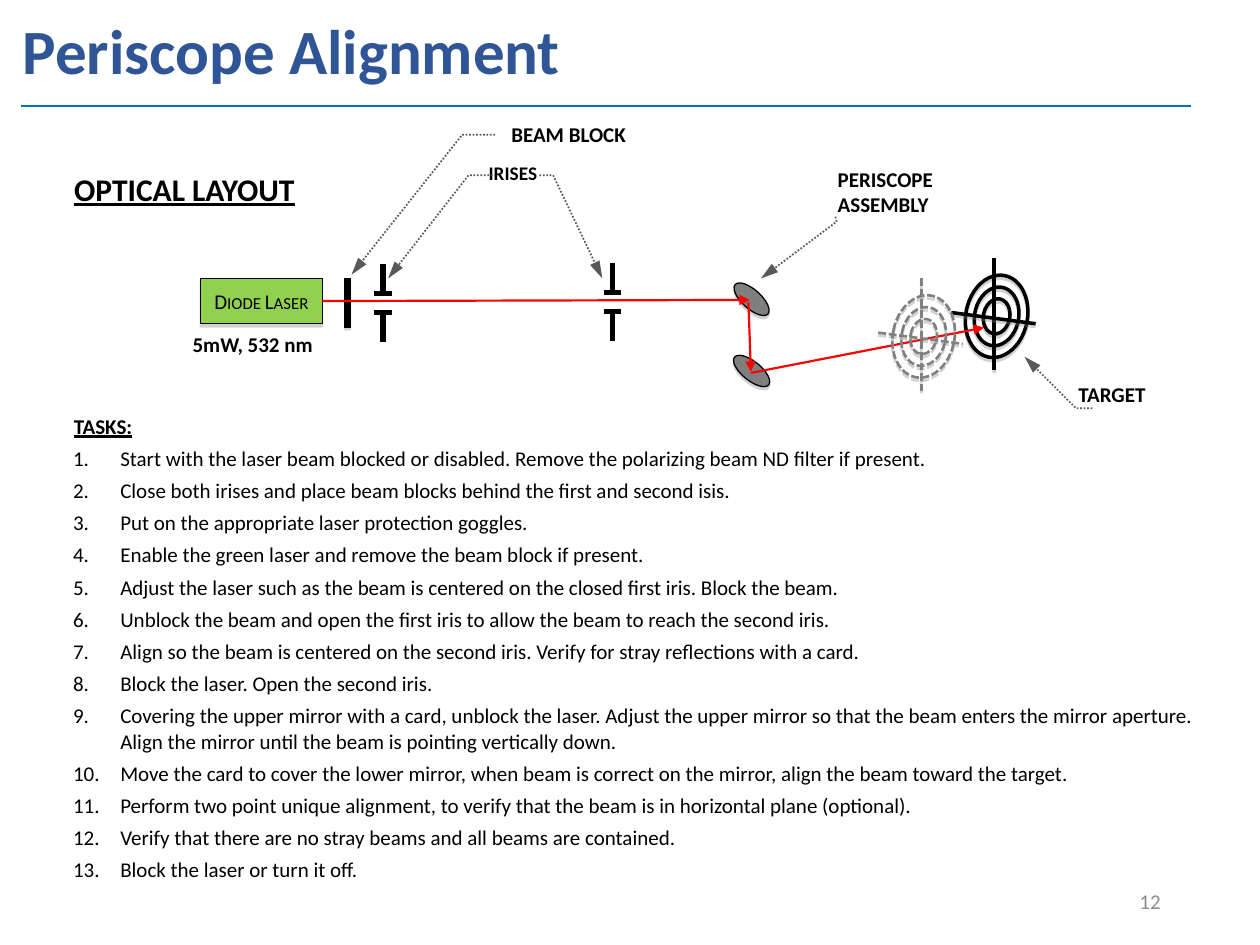
import pptx
import pptx.dml.color
import pptx.enum.dml
import pptx.enum.shapes
import pptx.enum.text
import pptx.oxml.ns
import pptx.util
import lxml.etree

Pt = pptx.util.Pt
hue = pptx.dml.color.RGBColor.from_string
qn = pptx.oxml.ns.qn
add = lxml.etree.SubElement
Kind = pptx.enum.shapes.MSO_SHAPE
Dash = pptx.enum.dml.MSO_LINE
Align = pptx.enum.text.PP_ALIGN
Anchor = pptx.enum.text.MSO_ANCHOR
STRAIGHT = pptx.enum.shapes.MSO_CONNECTOR.STRAIGHT


def style(item, color, width, dash=None, drop=0, head=None):
    item.line.color.rgb = hue(color)
    item.line.width = Pt(width)
    if dash:
        item.line.dash_style = dash
    props = item.element.spPr
    if head:
        add(props.find(qn("a:ln")), qn("a:tailEnd"), type="triangle", w="med", len=head)
    effect = add(props, qn("a:effectLst"))
    if drop:
        cast = add(effect, qn("a:outerShdw"), blurRad="0", dist=str(Pt(drop)),
                   dir="5400000", rotWithShape="0")
        tone = add(cast, qn("a:srgbClr"), val="808080")
        add(tone, qn("a:alpha"), val="35000")


def write(para, text, size, color="000000", bold=False, under=False):
    run = para.add_run()
    run.text = text
    font = run.font
    font.name = "Calibri"
    font.size = Pt(size)
    font.color.rgb = hue(color)
    font.bold = bold
    font.underline = under
    return run


deck = pptx.Presentation()
deck.slide_width = Pt(720)
deck.slide_height = Pt(540)
slide = deck.slides.add_slide(deck.slide_layouts[6])
shapes = slide.shapes

labels = [
    ("Periscope Alignment", 5.8, 1.4, 695.5, 59, 36, "2F5597", True, False, Align.LEFT, Anchor.MIDDLE),
    ("12", 508.3, 500.4, 162, 28.8, 12, "8C8C8C", False, False, Align.RIGHT, Anchor.MIDDLE),
    ("BEAM BLOCK", 285.1, 66.2, 98.6, 21.6, 12, "000000", True, False, Align.LEFT, Anchor.TOP),
    ("IRISES", 265, 88.6, 56.2, 20.9, 11, "000000", True, False, Align.CENTER, Anchor.TOP),
    ("5mW, 532 nm", 103, 185.8, 97.9, 21.6, 12, "000000", True, False, Align.LEFT, Anchor.TOP),
    ("PERISCOPE ASSEMBLY", 471.6, 91.4, 98.6, 36, 12, "000000", True, False, Align.LEFT, Anchor.TOP),
    ("TARGET", 609.1, 214.6, 61.2, 19.4, 12, "000000", True, False, Align.LEFT, Anchor.TOP),
    ("OPTICAL LAYOUT", 35.3, 93.6, 141.8, 28.8, 18, "000000", True, True, Align.LEFT, Anchor.TOP),
]
for text, x, y, wide, high, size, color, bold, under, align, anchor in labels:
    frame = shapes.add_textbox(Pt(x), Pt(y), Pt(wide), Pt(high)).text_frame
    frame.word_wrap = text != "OPTICAL LAYOUT"
    frame.vertical_anchor = anchor
    para = frame.paragraphs[0]
    para.alignment = align
    if size == 36:
        para.line_spacing = 0.9
    write(para, text, size, color, bold, under)

tasks = [
    "Start with the laser beam blocked or disabled. Remove the polarizing beam ND filter if present.",
    "Close both irises and place beam blocks behind the first and second isis.",
    "Put on the appropriate laser protection goggles.",
    "Enable the green laser and remove the beam block if present.",
    "Adjust the laser such as the beam is centered on the closed first iris. Block the beam.",
    "Unblock the beam and open the first iris to allow the beam to reach the second iris.",
    "Align so the beam is centered on the second iris. Verify for stray reflections with a card.",
    "Block the laser. Open the second iris.",
    "Covering the upper mirror with a card, unblock the laser. Adjust the upper mirror so that the beam "
    "enters the mirror aperture. Align the mirror until the beam is pointing vertically down.",
    "Move the card to cover the lower mirror, when beam is correct on the mirror, align the beam toward the target.",
    "Perform two point unique alignment, to verify that the beam is in horizontal plane (optional).",
    "Verify that there are no stray beams and all beams are contained.",
    "Block the laser or turn it off.",
]
frame = shapes.add_textbox(Pt(12.2), Pt(232.6), Pt(695.5), Pt(277.9)).text_frame
frame.word_wrap = True
para = frame.paragraphs[0]
para.space_after = Pt(4)
para._p.get_or_add_pPr().set("marL", str(Pt(23)))
write(para, "TASKS:", 12, bold=True, under=True)
for task in tasks:
    para = frame.add_paragraph()
    para.space_after = Pt(4)
    props = para._p.get_or_add_pPr()
    props.set("marL", str(Pt(49.5)))
    props.set("indent", str(Pt(-27)))
    add(props, qn("a:buFont"), typeface="+mj-lt")
    add(props, qn("a:buAutoNum"), type="arabicPeriod")
    write(para, task, 12)

laser = shapes.add_shape(Kind.RECTANGLE, Pt(114.5), Pt(159.1), Pt(69.8), Pt(25.9))
laser.fill.solid()
laser.fill.fore_color.rgb = hue("92D050")
style(laser, "000000", 0.75, drop=1.8)
laser.text_frame.vertical_anchor = Anchor.MIDDLE
para = laser.text_frame.paragraphs[0]
para.alignment = Align.CENTER
run = write(para, "Diode Laser", 12)
run.font._element.set("cap", "small")

for y, turn in [(206.6, 39), (165.6, 41.9)]:
    mirror = shapes.add_shape(Kind.OVAL, Pt(416.9), Pt(y), Pt(25.2), Pt(10.8))
    mirror.rotation = turn
    mirror.fill.solid()
    mirror.fill.fore_color.rgb = hue("7F7F7F")
    style(mirror, "000000", 0.75, drop=1.8)

bars = [(198.7, 159.1, 198.7, 187.2, 4, 1.6)]
for x, y in [(218.9, 167.8), (349.9, 167.2)]:
    for edge, tip in [(y, y - 17), (y + 10.8, y + 27.5)]:
        bars += [(x - 5, edge, x + 5, edge, 3, 0), (x, edge, x, tip, 3, 0)]
for x, y, right, low, width, drop in bars:
    bar = shapes.add_connector(STRAIGHT, Pt(x), Pt(y), Pt(right), Pt(low))
    style(bar, "000000", width, drop=drop)

leads = [
    [(283, 77), (264.2, 77), (200.9, 157)],
    [(281.5, 100.1), (267.8, 100.1), (221.8, 159.1)],
    [(308.2, 100.1), (316.1, 100.1), (344.2, 159.1)],
    [(477.4, 123.8), (478.1, 126.7), (434.9, 159.1)],
    [(624.2, 233.3), (614.9, 233.3), (585.4, 203.8)],
]
for first, *rest in leads:
    build = shapes.build_freeform(Pt(first[0]), Pt(first[1]))
    build.add_line_segments([(Pt(x), Pt(y)) for x, y in rest], close=False)
    lead = build.convert_to_shape()
    lead.fill.background()
    style(lead, "595959", 1, Dash.ROUND_DOT, head="lg")

beams = [
    (427.7, 172.8, 429.1, 212.4),
    (429.1, 213.1, 562.3, 187.2),
    (184.3, 172, 428.4, 171.4),
]
targets = [(569.5, 180.8, "000000", 2, None), (527.8, 192.3, "808080", 1.5, Dash.SQUARE_DOT)]
for x, y, color, width, dash in targets:
    for wide, high in [(35.3, 47.5), (25.2, 33.8), (15.1, 20.2)]:
        ring = shapes.add_shape(Kind.OVAL, Pt(x - wide / 2), Pt(y - high / 2), Pt(wide), Pt(high))
        ring.rotation = 11.1
        ring.fill.background()
        style(ring, color, width, dash, 1.8)
    for left, top, right, low in [(-1.4, -33.2, -1.4, 30.9), (-25.9, -2.2, 22.3, 4.2)]:
        cross = shapes.add_connector(STRAIGHT, Pt(x + left), Pt(y + top), Pt(x + right), Pt(y + low))
        style(cross, color, width, dash, 1.6)
    while beams:
        beam = shapes.add_connector(STRAIGHT, *map(Pt, beams.pop(0)))
        style(beam, "FF0000", 1.25, head="med")
        if not beams:
            beam.begin_connect(laser, 3)

rule = shapes.add_connector(STRAIGHT, Pt(12.2), Pt(60.5), Pt(680.4), Pt(60.5))
style(rule, "0070C0", 1.5)

deck.save("out.pptx")
